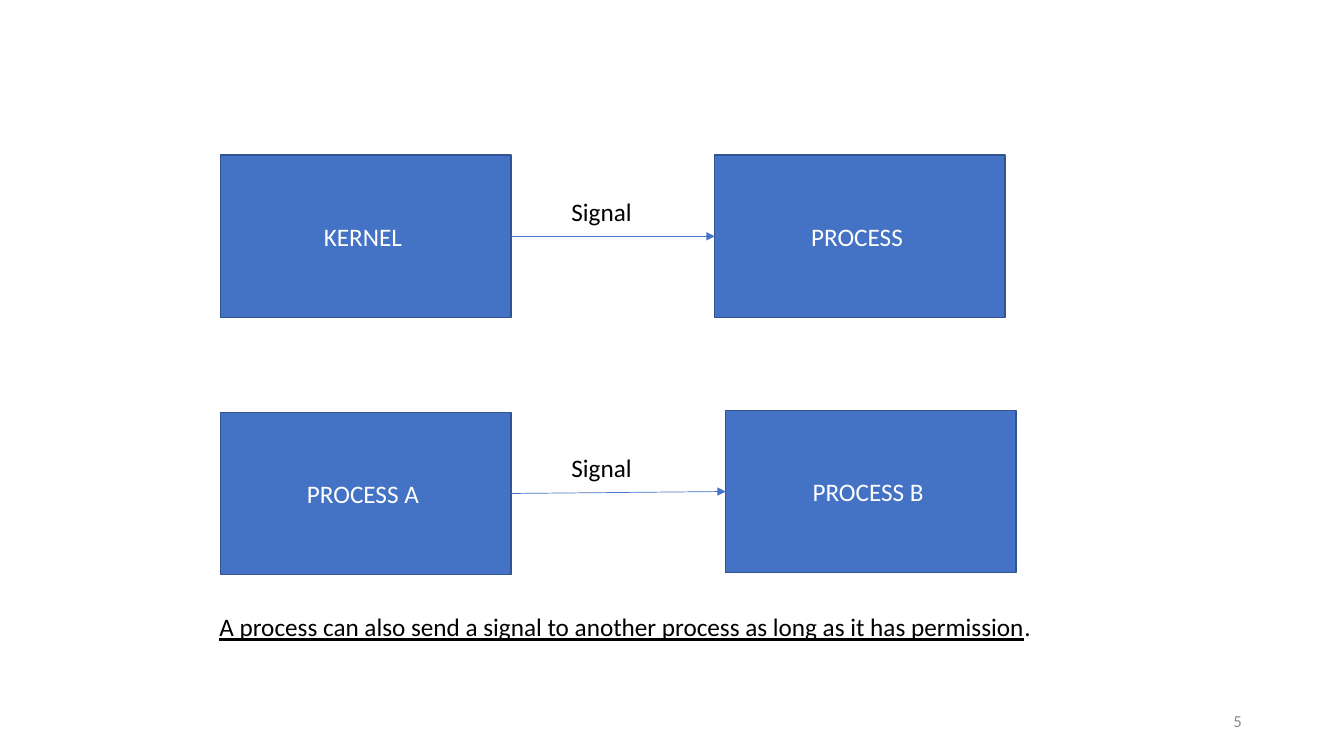
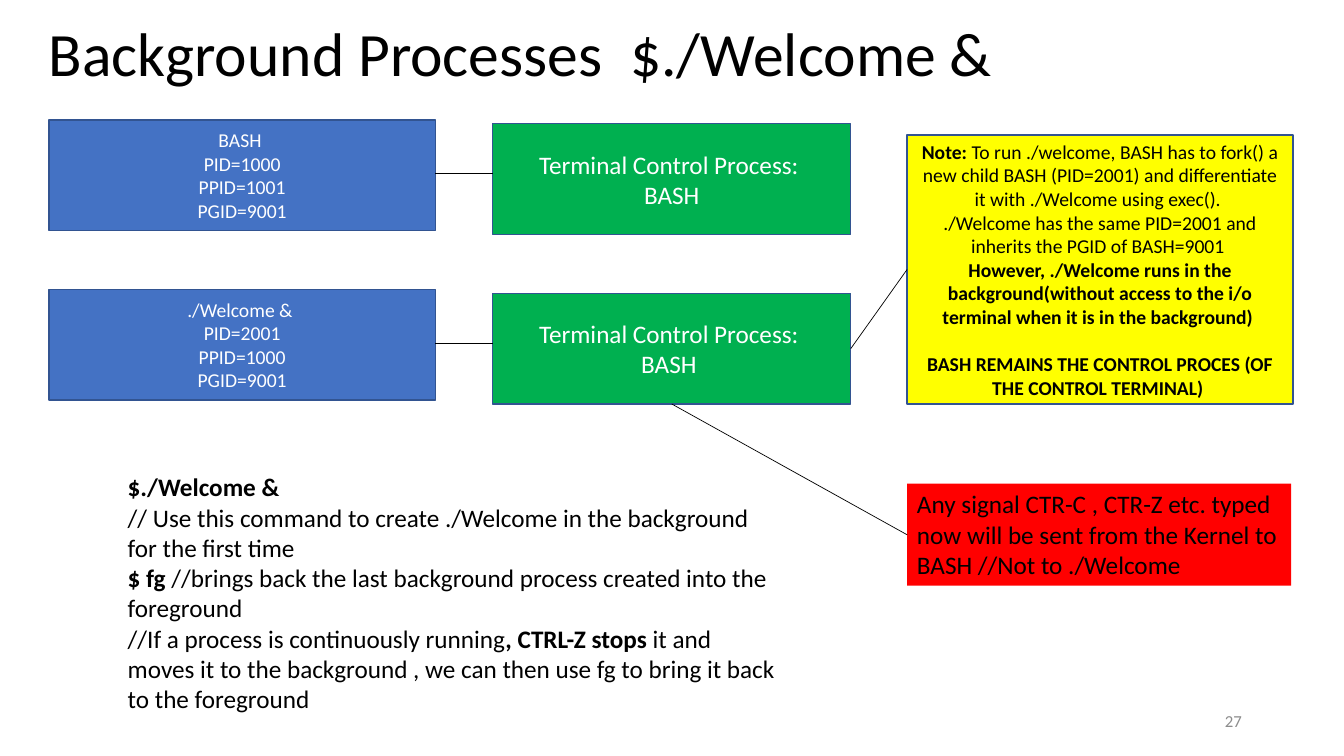
from dataclasses import dataclass

from lxml.etree import SubElement
from pptx import Presentation
from pptx.dml.color import RGBColor
from pptx.enum.shapes import MSO_CONNECTOR, MSO_SHAPE
from pptx.enum.text import MSO_ANCHOR, MSO_AUTO_SIZE, PP_ALIGN
from pptx.oxml.ns import qn
from pptx.util import Cm, Pt

# Content: a paragraph is a string or a list of (text, style) spans
SIGNALS = [("KERNEL ", "PROCESS "), ("PROCESS A ", "PROCESS B ")]
SIGNAL_LABEL = "Signal"
PERMISSION = [[
    ("A process can also send a signal to another process as long as it has permission", "underline"),
    (".", "")]]

TITLE = "Background Processes  $./Welcome &"
PROCESSES = [
    (["BASH ", "PID=1000", "PPID=1001", "PGID=9001"],
     ["Terminal Control Process: ", "BASH"]),
    (["./Welcome & ", "PID=2001", "PPID=1000", "PGID=9001"],
     ["Terminal Control Process: ", "BASH "]),
]
NOTE = [
    [("Note: ", "bold"),
     ("To run ./welcome, BASH has to fork() a new child BASH (PID=2001) and "
      "differentiate it with ./Welcome using exec(). ", "")],
    "./Welcome has the same PID=2001 and inherits the PGID of BASH=9001 ",
    [("However, ./Welcome runs in the background(without access to the i/o "
      "terminal when it is in the background) ", "bold")],
    [("BASH REMAINS THE CONTROL PROCES (OF THE CONTROL TERMINAL) ", "bold")],
]
WARNING = ["Any signal CTR-C , CTR-Z etc. typed now will be sent from the Kernel to "
           "BASH //Not to ./Welcome "]
COMMANDS = [
    [("$./Welcome &", "bold")],
    "// Use this command to create ./Welcome in the background for the first time ",
    [("$ fg ", "bold"),
     ("//brings back the last background process created into the foreground ", "")],
    [("//If a process is continuously running", ""), (", CTRL-Z stops ", "bold"),
     ("it and moves it to the background , we can then use fg to bring it back "
      "to the foreground ", "")],
]


@dataclass(frozen=True)
class Theme:
    font: str = "Calibri"
    blue: str = "4472C4"
    outline: str = "325491"
    green: str = "00B050"
    yellow: str = "FFFF00"
    red: str = "FF0000"
    white: str = "FFFFFF"
    black: str = "000000"
    gray: str = "8C8C8C"
    title: int = 44
    body: int = 18
    small: int = 14
    footer: int = 12


THEME = Theme()


# Shared helpers
def color(code):
    return RGBColor.from_string(code)


def write(box, paras, size=THEME.body, ink=THEME.black, align=PP_ALIGN.LEFT,
          anchor=MSO_ANCHOR.TOP, spacing=None):
    frame = box.text_frame
    frame.word_wrap = True
    frame.auto_size = MSO_AUTO_SIZE.NONE
    frame.vertical_anchor = anchor
    for index, content in enumerate(paras):
        para = frame.add_paragraph() if index else frame.paragraphs[0]
        para.alignment = align
        para.line_spacing = spacing
        spans = [(content, "")] if isinstance(content, str) else content
        for text, style in spans:
            span = para.add_run()
            span.text = text
            span.font.name = THEME.font
            span.font.size = Pt(size)
            span.font.color.rgb = color(ink)
            span.font.bold = style == "bold"
            span.font.underline = style == "underline"


def add_text(page, area, paras, **style):
    box = page.shapes.add_textbox(*map(Cm, area))
    write(box, paras, **style)


def add_box(page, area, paras, fill=THEME.blue, outline=THEME.outline, **style):
    box = page.shapes.add_shape(MSO_SHAPE.RECTANGLE, *map(Cm, area))
    box.shadow.inherit = False
    box.fill.solid()
    box.fill.fore_color.rgb = color(fill)
    if outline:
        box.line.color.rgb = color(outline)
        box.line.width = Pt(1)
    else:
        box.line.fill.background()
    centered = {"ink": THEME.white, "align": PP_ALIGN.CENTER, "anchor": MSO_ANCHOR.MIDDLE}
    write(box, paras, **{**centered, **style})
    return box


def add_line(page, start=(0, 0), end=(0, 0), ink=THEME.black, arrow=False):
    line = page.shapes.add_connector(MSO_CONNECTOR.STRAIGHT, *map(Cm, (*start, *end)))
    line.line.color.rgb = color(ink)
    line.line.width = Pt(0.5)
    if arrow:
        SubElement(line.line._get_or_add_ln(), qn("a:tailEnd"), type="triangle")
    SubElement(line._element.spPr, qn("a:effectLst"))
    return line


def join(page, source, source_side, target, target_side, **style):
    line = add_line(page, **style)
    line.begin_connect(source, source_side)
    line.end_connect(target, target_side)


def add_page(layout, number):
    page = deck.slides.add_slide(deck.slide_layouts[layout])
    add_text(page, (23.93, 17.65, 7.62, 1.02), [number], size=THEME.footer,
             ink=THEME.gray, align=PP_ALIGN.RIGHT, anchor=MSO_ANCHOR.MIDDLE)
    return page


TITLE_ONLY, BLANK = 5, 6
LEFT, BOTTOM, RIGHT = 1, 2, 3  # connection sites of a rectangle

deck = Presentation()
deck.slide_width, deck.slide_height = Cm(33.87), Cm(19.05)

# Signals between processes
page = add_page(BLANK, "5")
box_size = (7.32, 4.09)
corners = [((5.56, 3.91), (18.01, 3.91)), ((5.56, 10.39), (18.29, 10.34))]
label_tops = (4.83, 11.28)
for names, places, label_top in zip(SIGNALS, corners, label_tops):
    sender, receiver = [add_box(page, (*place, *box_size), [name])
                        for name, place in zip(names, places)]
    join(page, sender, RIGHT, receiver, LEFT, ink=THEME.blue, arrow=True)
    add_text(page, (14.15, label_top, 2.62, 1.02), [SIGNAL_LABEL])
add_text(page, (5.28, 15.29, 23.29, 1.02), PERMISSION)

# Background processes
page = add_page(TITLE_ONLY, "27")
title = page.shapes.title
title.left, title.top, title.width, title.height = map(Cm, (0.97, -0.41, 29.21, 3.68))
write(title, [TITLE], size=THEME.title, anchor=MSO_ANCHOR.MIDDLE, spacing=0.9)

row_pitch, row_height = 4.27, 2.79
for row, (process, terminal) in enumerate(PROCESSES):
    drop = row * row_pitch
    add_box(page, (1.24, 3.02 + drop, 9.73, row_height), process, size=THEME.small)
    control = add_box(page, (12.42, 3.12 + drop, 9.02, row_height), terminal,
                      fill=THEME.green)
    add_line(page, (10.97, 4.37 + drop), (12.42, 4.37 + drop))

# Remarks on the background process
warning = add_box(page, (22.86, 12.19, 9.68, 2.57), WARNING, fill=THEME.red, outline=None,
                  ink=THEME.black, align=PP_ALIGN.LEFT, anchor=MSO_ANCHOR.TOP)
note = add_box(page, (22.86, 3.4, 9.73, 6.78), NOTE, fill=THEME.yellow,
               ink=THEME.black, size=THEME.small)
note.text_frame.paragraphs[-1].space_before = Pt(17)
join(page, control, RIGHT, note, LEFT)
join(page, control, BOTTOM, warning, LEFT)
add_text(page, (2.97, 11.76, 16.94, 6.4), COMMANDS)

deck.save("out.pptx")
